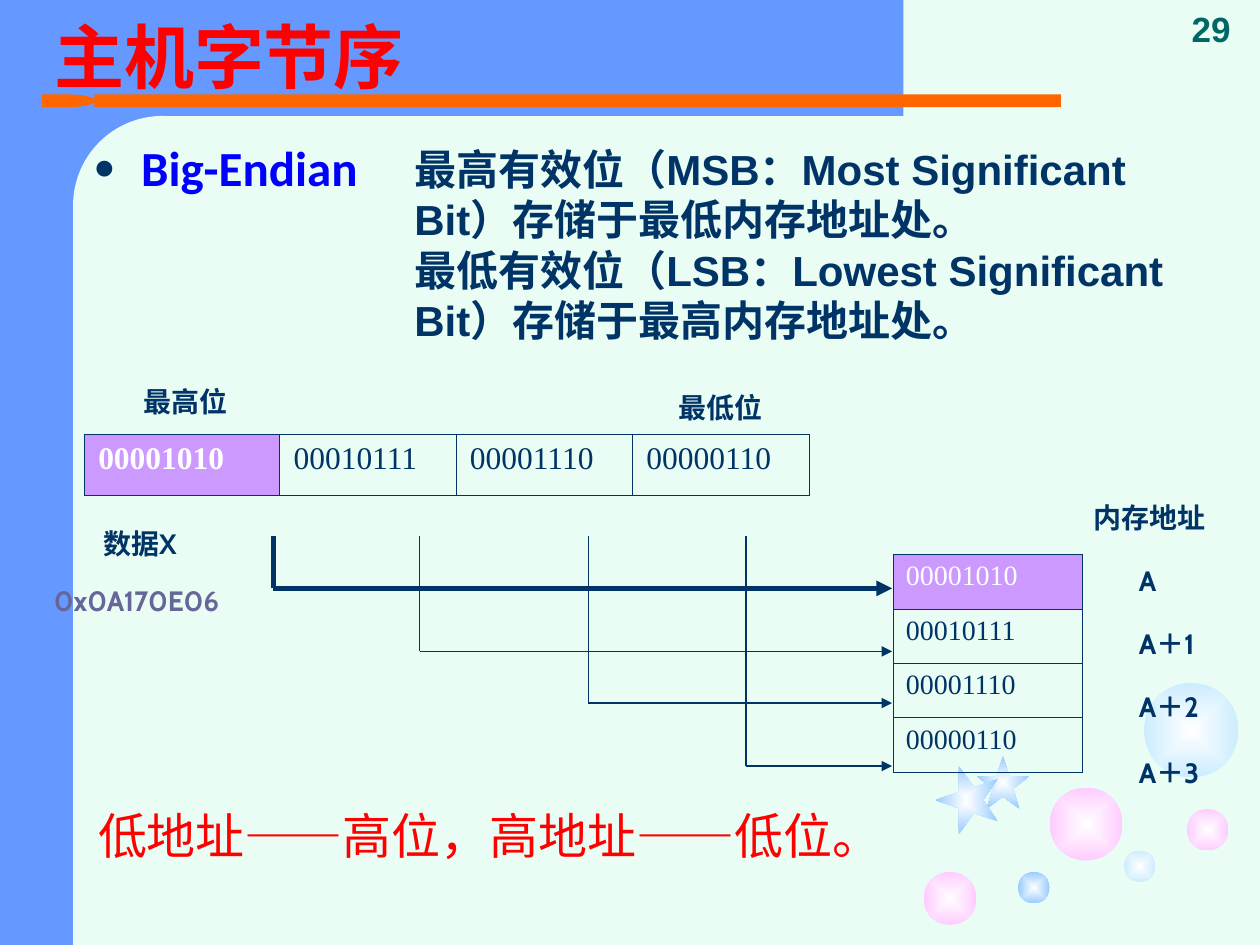
from dataclasses import dataclass

from lxml import etree
from pptx import Presentation
from pptx.dml.color import RGBColor
from pptx.enum.shapes import MSO_CONNECTOR, MSO_SHAPE as Kind
from pptx.enum.text import MSO_ANCHOR as Anchor, MSO_AUTO_SIZE as AutoSize, PP_ALIGN as Align
from pptx.oxml.ns import qn
from pptx.util import Inches, Pt


@dataclass(frozen=True)
class Theme:
    paper: str = "E9FDF4"
    band: str = "6699FF"
    rule: str = "FF6600"
    ink: str = "003366"
    red: str = "FF0000"
    term: str = "0000FF"
    muted: str = "666699"
    number: str = "006666"
    white: str = "FFFFFF"
    top_byte: str = "CC99FF"
    pink: str = "FFCCFF"
    pale: str = "CCECFF"
    sky: str = "99CCFF"
    title_size: int = 40
    large: int = 28
    body: int = 24
    page: int = 20
    data: int = 18
    label: int = 16


T = Theme()
WIDTH, HEIGHT = 10, 7.5

TITLE = "主机字节序"
TERM = "Big-Endian"
DEFINITION = [
    "最高有效位（MSB：Most Significant Bit）存储于最低内存地址处。",
    "最低有效位（LSB：Lowest Significant Bit）存储于最高内存地址处。",
]
SUMMARY = "低地址——高位，高地址——低位。"
BYTES = ["00001010", "00010111", "00001110", "00000110"]
# text, box, centred, colour
LABELS = [
    ("最高位", (1, 3, 0.94, 0.37), True, T.ink),
    ("最低位", (5.25, 3.05, 0.94, 0.37), True, T.ink),
    ("内存地址", (8.58, 3.92, 1.18, 0.37), False, T.ink),
    ("数据X", (0.64, 4.13, 0.94, 0.37), True, T.ink),
    ("0x0A170E06", (0.33, 4.58, 1.65, 0.37), False, T.muted),
]
# text, top, width
ADDRESSES = [("A", 4.42, 0.47), ("A＋1", 4.92, 0.84), ("A＋2", 5.42, 0.9), ("A＋3", 5.95, 1.06)]
# x of the drop, y of the arrow, line width
ROUTES = [(2.17, 4.67, 3), (3.33, 5.17, 0.75), (4.67, 5.58, 0.75), (5.92, 6.08, 0.75)]
ROUTE_TOP, MEMORY_EDGE = 4.25, 7.08
# preset, box, colour
FRAME = [
    (Kind.RECTANGLE, (0, 0, WIDTH / 8, HEIGHT), T.band),
    (Kind.RECTANGLE, (0.5, 0, 6.67, 0.92), T.band),
    (Kind.ROUNDED_RECTANGLE, (0.58, 0.92, 1.42, 5.75), T.paper),
    (Kind.RECTANGLE, (0.75, 0.75, 7.67, 0.1), T.rule),
    (Kind.FLOWCHART_DELAY, (0.33, 0.75, 0.43, 0.1), T.rule),
    (Kind.RECTANGLE, (0.58, 5.92, 1.42, 1.58), T.paper),
]
# left, top, diameter, colour
BUBBLES = [
    (8.33, 6.25, 0.58, T.pink), (7.33, 6.92, 0.42, T.pink), (8.92, 6.75, 0.25, T.pale),
    (9.42, 6.42, 0.33, T.pink), (9.08, 5.42, 0.75, T.pale), (8.08, 6.92, 0.25, T.sky),
]
# box, rotation
STARS = [((7.75, 6, 0.42, 0.42), 0), ((7.4, 6.1, 0.54, 0.5), 270)]


def color(code):
    return RGBColor.from_string(code)


def inches(box):
    return [Inches(value) for value in box]


def child(parent, tag, **attributes):
    element = etree.SubElement(parent, qn(tag))
    for name, value in attributes.items():
        element.set(name, str(value))
    return element


def write(frame, lines, *, size, font="Cabin", ink=T.ink, bold=True, align=None,
          anchor=Anchor.TOP, wrap=True, fit=AutoSize.SHAPE_TO_FIT_TEXT, spacing=None):
    if fit is not None:
        frame.auto_size = fit
        frame.word_wrap = wrap
        frame.vertical_anchor = anchor
    for index, line in enumerate(lines):
        paragraph = frame.add_paragraph() if index else frame.paragraphs[0]
        paragraph.alignment = align
        paragraph.space_before = Pt(0)
        paragraph.line_spacing = spacing
        run = paragraph.add_run()
        run.text = line
        run.font.name = font
        run.font.size = Pt(size)
        run.font.bold = bold
        run.font.color.rgb = color(ink)


def add_text(slide, box, lines, **style):
    write(slide.shapes.add_textbox(*inches(box)).text_frame, lines, **style)


def add_figure(slide, kind, box, fill, glow=False):
    """Add a borderless preset shape; glow fades it from a white centre."""
    shape = slide.shapes.add_shape(kind, *inches(box))
    shape.shadow.inherit = False
    shape.line.fill.background()
    if not glow:
        shape.fill.solid()
        shape.fill.fore_color.rgb = color(fill)
        return shape
    shape.fill.gradient()
    for stop, code in zip(shape.fill.gradient_stops, (T.white, fill)):
        stop.color.rgb = color(code)
    for stop, position in zip(shape.fill.gradient_stops, (0, 1)):
        stop.position = position
    gradient = shape.element.spPr.find(qn("a:gradFill"))
    linear = gradient.find(qn("a:lin"))
    if linear is not None:
        gradient.remove(linear)
    focus = child(gradient, "a:path", path="rect")
    child(focus, "a:fillToRect", l=50000, t=50000, r=50000, b=50000)
    return shape


def add_line(slide, start, end, width, arrow=False):
    line = slide.shapes.add_connector(MSO_CONNECTOR.STRAIGHT, *inches(start + end))
    line.line.color.rgb = color(T.ink)
    line.line.width = Pt(width)
    if arrow:
        child(line.line._get_or_add_ln(), "a:tailEnd", type="triangle")
    child(line.element.spPr, "a:effectLst")


def border(cell):
    properties = cell._tc.get_or_add_tcPr()
    for index, side in enumerate(("a:lnL", "a:lnR", "a:lnT", "a:lnB")):
        edge = etree.Element(qn(side), w=str(Pt(0.45)))
        child(child(edge, "a:solidFill"), "a:srgbClr", val=T.ink)
        properties.insert(index, edge)


def add_byte_table(slide, box, rows, widths, *, size, margin, bold_top):
    """Add a grid of bytes with the most significant one highlighted."""
    table = slide.shapes.add_table(len(rows), len(widths), *inches(box)).table
    table.first_row = table.horz_banding = False
    for column, width in zip(table.columns, widths):
        column.width = Inches(width)
    for r, row in enumerate(rows):
        for c, byte in enumerate(row):
            cell, top = table.cell(r, c), r == c == 0
            cell.margin_left = cell.margin_right = Inches(margin)
            cell.margin_top = cell.margin_bottom = Inches(0.05)
            if top:
                cell.fill.solid()
                cell.fill.fore_color.rgb = color(T.top_byte)
            else:
                cell.fill.background()
            border(cell)
            write(cell.text_frame, [byte], size=size, font="Times New Roman", fit=None,
                  ink=T.white if top else T.ink, bold=top and bold_top)


def place(placeholder, box):
    """Position a placeholder and bring it in front of the frame."""
    placeholder.left, placeholder.top, placeholder.width, placeholder.height = inches(box)
    placeholder.element.getparent().append(placeholder.element)


def main():
    presentation = Presentation()
    presentation.slide_width, presentation.slide_height = Inches(WIDTH), Inches(HEIGHT)
    slide = presentation.slides.add_slide(presentation.slide_layouts[1])
    slide.background.fill.solid()
    slide.background.fill.fore_color.rgb = color(T.paper)

    for kind, box, fill in FRAME:
        shape = add_figure(slide, kind, box, fill)
        if kind == Kind.ROUNDED_RECTANGLE:
            shape.adjustments[0] = 0.5
    for left, top, diameter, fill in BUBBLES:
        add_figure(slide, Kind.OVAL, (left, top, diameter, diameter), fill, glow=True)
    for box, rotation in STARS:
        add_figure(slide, Kind.STAR_5_POINT, box, T.sky, glow=True).rotation = rotation

    title, body = slide.shapes.title, slide.placeholders[1]
    place(title, (0.33, 0, 8.42, 0.83))
    write(title.text_frame, [TITLE], size=T.title_size, font="Calibri", ink=T.red,
          align=Align.LEFT, anchor=Anchor.BOTTOM, fit=AutoSize.NONE, spacing=0.9)
    place(body, (0.64, 1.04, 8.09, 0.72))
    write(body.text_frame, [TERM], size=T.large, font="Calibri", ink=T.term, fit=AutoSize.NONE)
    bullet = body.text_frame.paragraphs[0]._p.get_or_add_pPr()
    bullet.set("marL", str(Inches(0.38)))
    bullet.set("indent", str(Inches(-0.38)))
    child(child(bullet, "a:buClr"), "a:srgbClr", val=T.ink)
    child(bullet, "a:buSzPct", val=75000)
    child(bullet, "a:buChar", char="●")

    add_byte_table(slide, (0.67, 3.45, 5.75, 0.48), [BYTES], [1.55, 1.4, 1.4, 1.4],
                   size=T.data, margin=0.11, bold_top=True)
    add_byte_table(slide, (7.09, 4.4, 1.5, 1.73), [[byte] for byte in BYTES], [1.5],
                   size=T.label, margin=0.1, bold_top=False)
    for text, box, centred, ink in LABELS:
        add_text(slide, box, [text], size=T.label, ink=ink,
                 align=Align.CENTER if centred else None)
    for text, top, width in ADDRESSES:
        add_text(slide, (8.94, top, width, 0.37), [text], size=T.label)
    for x, y, width in ROUTES:
        add_line(slide, (x, ROUTE_TOP), (x, y), width)
        add_line(slide, (x, y), (MEMORY_EDGE, y), width, arrow=True)

    add_text(slide, (9.36, 0, 0.64, 0.44), ["29"], size=T.page, font="Arial",
             ink=T.number, anchor=Anchor.BOTTOM)
    add_text(slide, (0.68, 6.34, 6.41, 0.57), [SUMMARY], size=T.large, font="Arial",
             ink=T.red, bold=False, wrap=False)
    add_text(slide, (3.19, 1.09, 6.58, 1.7), DEFINITION, size=T.body, font="Arial")
    presentation.save("out.pptx")


if __name__ == "__main__":
    main()
